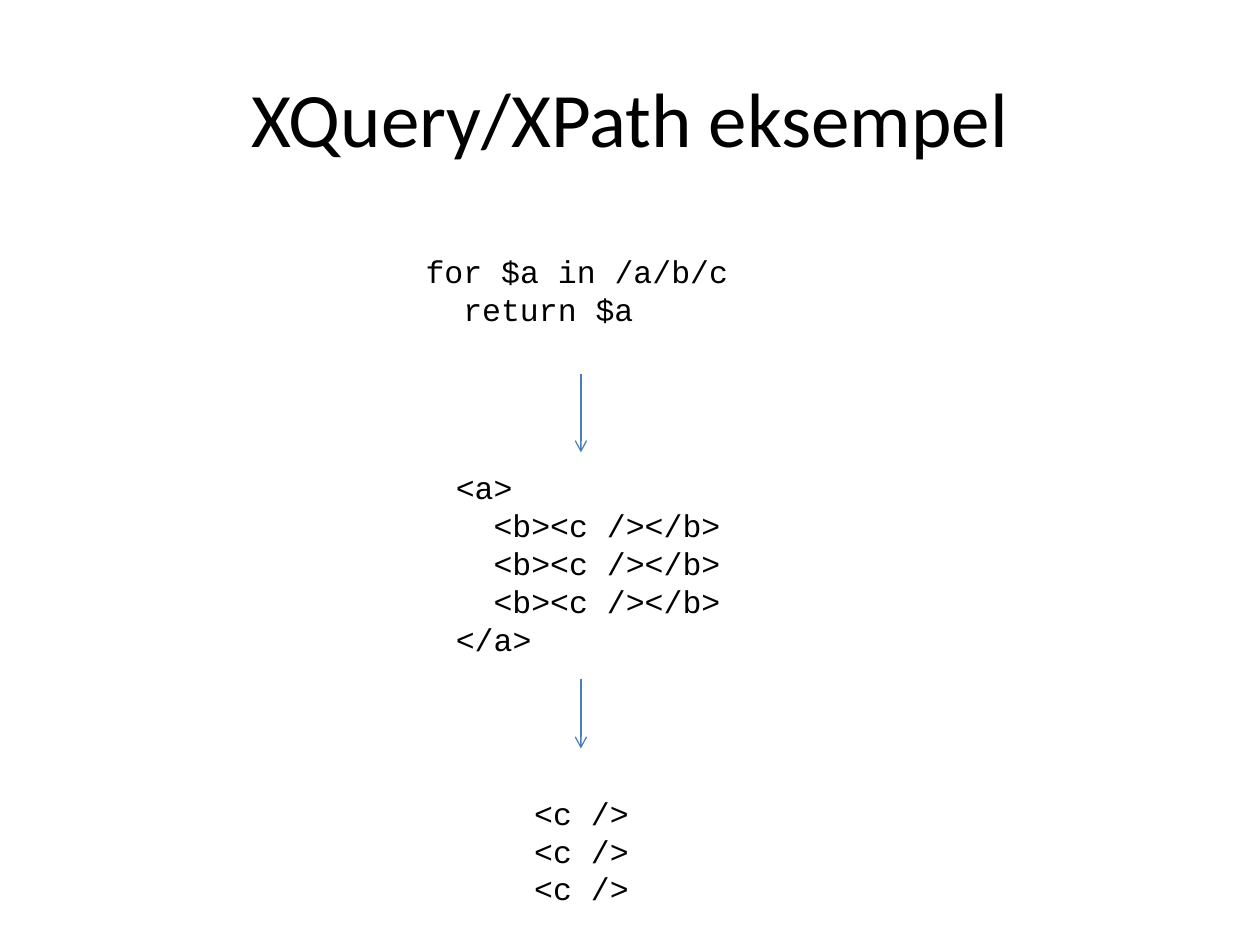
from lxml.etree import SubElement
from pptx import Presentation
from pptx.dml.color import RGBColor
from pptx.enum.shapes import MSO_CONNECTOR
from pptx.enum.text import MSO_ANCHOR, MSO_AUTO_SIZE, PP_ALIGN
from pptx.oxml.ns import qn
from pptx.util import Cm, Pt


def style_font(font, name, size, color):
    font.name = name
    font.size = Pt(size)
    font.color.rgb = RGBColor.from_string(color)


deck = Presentation()
deck.slide_width, deck.slide_height = Cm(25.4), Cm(19.05)
slide = deck.slides.add_slide(deck.slide_layouts[5])

heading = slide.shapes.title
heading.left, heading.top = Cm(1.27), Cm(0.76)
heading.width, heading.height = Cm(22.86), Cm(3.18)
heading.text_frame.text = "XQuery/XPath eksempel"
heading.text_frame.vertical_anchor = MSO_ANCHOR.MIDDLE
heading_line = heading.text_frame.paragraphs[0]
heading_line.alignment = PP_ALIGN.CENTER
style_font(heading_line.font, "Calibri", 44, "000000")

INDENT = Cm(0.76)
query = [(0, "for $a in /a/b/c"), (1, "return $a")]
document = [(0, "<a>"), *[(1, "<b><c /></b>")] * 3, (0, "</a>")]
result = [(0, "<c />")] * 3

listings = [
    (8.33, 4.95, 6.93, 1.8, query),
    (8.94, 9.32, 6.15, 4.11, document),
    (10.52, 15.88, 2.59, 2.57, result),
]
for left, top, width, height, code_lines in listings:
    listing = slide.shapes.add_textbox(Cm(left), Cm(top), Cm(width), Cm(height))
    code = listing.text_frame
    code.word_wrap = True
    code.auto_size = MSO_AUTO_SIZE.SHAPE_TO_FIT_TEXT
    code.text = "\n".join(text for level, text in code_lines)
    for paragraph, (level, text) in zip(code.paragraphs, code_lines):
        style_font(paragraph.font, "Courier New", 18, "000000")
        if level:
            paragraph._p.get_or_add_pPr().set("marL", str(level * INDENT))

ARROW_X = Cm(11.71)
for start, end in [(7.54, 9.12), (13.69, 15.09)]:
    arrow = slide.shapes.add_connector(
        MSO_CONNECTOR.STRAIGHT, ARROW_X, Cm(start), ARROW_X, Cm(end)
    )
    arrow.line.color.rgb = RGBColor.from_string("4B7EBC")
    arrow.line.width = Pt(0.75)
    SubElement(arrow.line._get_or_add_ln(), qn("a:tailEnd"), type="arrow")
    SubElement(arrow._element.spPr, qn("a:effectLst"))

deck.save("out.pptx")
